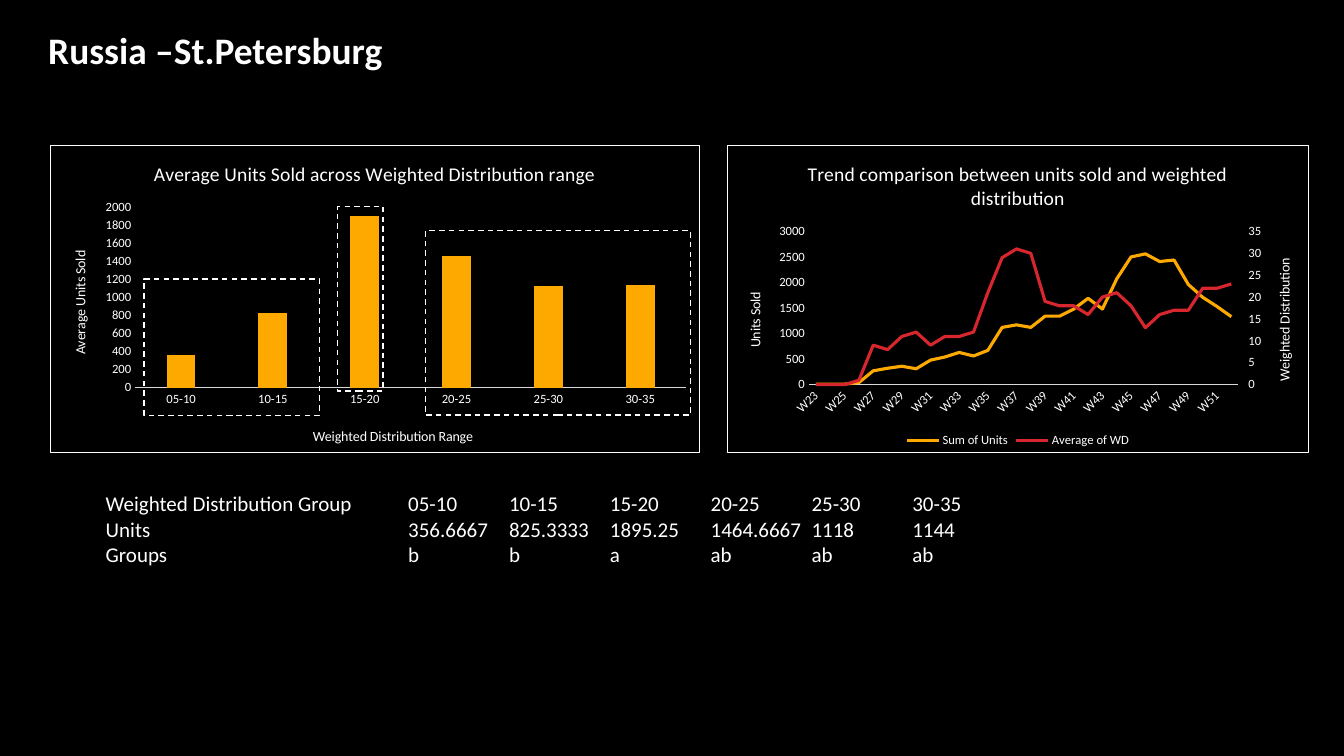
from copy import deepcopy

from lxml import etree
from pptx import Presentation
from pptx.chart.axis import CategoryAxis, ValueAxis
from pptx.chart.data import CategoryChartData
from pptx.dml.color import RGBColor
from pptx.enum.chart import XL_CHART_TYPE, XL_LEGEND_POSITION, XL_TICK_MARK
from pptx.enum.dml import MSO_LINE
from pptx.enum.shapes import MSO_SHAPE
from pptx.enum.text import MSO_AUTO_SIZE
from pptx.oxml import parse_xml
from pptx.oxml.ns import nsdecls, qn
from pptx.util import Inches, Pt

COLUMN, LINE = XL_CHART_TYPE.COLUMN_CLUSTERED, XL_CHART_TYPE.LINE
TICK_NONE, TICK_OUTSIDE = XL_TICK_MARK.NONE, XL_TICK_MARK.OUTSIDE
BOTTOM = XL_LEGEND_POSITION.BOTTOM
RECTANGLE, DASH = MSO_SHAPE.RECTANGLE, MSO_LINE.DASH
FIT_SHAPE = MSO_AUTO_SIZE.SHAPE_TO_FIT_TEXT

THEME = {
    "font": "Calibri",
    "black": RGBColor(0x00, 0x00, 0x00),
    "white": RGBColor(0xFF, 0xFF, 0xFF),
    "axis": RGBColor(0xD9, 0xD9, 0xD9),
    "units": RGBColor(0xFE, 0xA9, 0x00),
    "distribution": RGBColor(0xD8, 0x26, 0x2E),
    "heading": 26.7,
    "body": 15,
    "chart_title": 14,
    "axis_title": 10,
    "label": 9,
}

presentation = Presentation()
presentation.slide_width = Inches(13.33)
presentation.slide_height = Inches(7.5)
slide = presentation.slides.add_slide(presentation.slide_layouts[6])
slide.background.fill.solid()
slide.background.fill.fore_color.rgb = THEME["black"]


def place(left, top, width, height):
    across, down = presentation.slide_width / 100, presentation.slide_height / 100
    return [round(share * unit) for share, unit in
            zip((left, top, width, height), (across, down, across, down))]


def style_font(font, size, bold=False):
    font.name = THEME["font"]
    font.size = Pt(THEME[size])
    font.bold = bold
    font.color.rgb = THEME["white"]


ranges = ["05-10", "10-15", "15-20", "20-25", "25-30", "30-35"]
range_data = CategoryChartData()
range_data.categories = ranges
range_data.add_series("Series 1", [360, 830, 1900, 1460, 1120, 1140])

trend_data = CategoryChartData()
trend_data.categories = [f"W{week}" for week in range(23, 53)]
trend_data.add_series("Sum of Units", [
    10, 10, 10, 40, 270, 320, 360, 310, 480, 540, 630, 560, 670, 1120, 1170,
    1120, 1340, 1340, 1480, 1690, 1480, 2070, 2500, 2560, 2410, 2440, 1960,
    1710, 1530, 1330])
trend_data.add_series("Average of WD", [
    0, 0, 0, 1, 9, 8, 11, 12, 9, 11, 11, 12, 21, 29, 31, 30, 19, 18, 18, 16,
    20, 21, 18, 13, 16, 17, 17, 22, 22, 23])

range_chart = slide.shapes.add_chart(
    COLUMN, *place(3.75, 19.2, 48.31, 40.67), range_data).chart
trend_chart = slide.shapes.add_chart(
    LINE, *place(54.09, 19.2, 43.29, 40.67), trend_data).chart

plot_area = trend_chart._chartSpace.chart.plotArea
units_lines = plot_area.find(qn("c:lineChart"))
units_axis = plot_area.find(qn("c:valAx"))
distribution_lines = deepcopy(units_lines)
units_lines.remove(units_lines.findall(qn("c:ser"))[1])
distribution_lines.remove(distribution_lines.findall(qn("c:ser"))[0])
units_lines.addnext(distribution_lines)
week_axis = deepcopy(plot_area.find(qn("c:catAx")))
distribution_axis = deepcopy(units_axis)
units_axis.addnext(distribution_axis)
distribution_axis.addnext(week_axis)
for element, tags, numbers in (
        (distribution_lines, ("c:axId", "c:axId"), ("5001", "5002")),
        (week_axis, ("c:axId", "c:crossAx"), ("5001", "5002")),
        (distribution_axis, ("c:axId", "c:crossAx"), ("5002", "5001"))):
    targets = [child for child in element if child.tag in map(qn, tags)]
    for target, number in zip(targets, numbers):
        target.set("val", number)
distribution_axis.find(qn("c:axPos")).set("val", "r")
distribution_axis.find(qn("c:crosses")).set("val", "max")
CategoryAxis(week_axis).visible = False
left_axis, right_axis = ValueAxis(units_axis), ValueAxis(distribution_axis)

charts = (
    (range_chart, "Average Units Sold across Weighted Distribution range"),
    (trend_chart, "Trend comparison between units sold and weighted distribution"),
)
for chart, title in charts:
    style_font(chart.font, "axis_title")
    chart.has_title = True
    run = chart.chart_title.text_frame.paragraphs[0].add_run()
    run.text = title
    style_font(run.font, "chart_title")
    chart.chart_title.include_in_layout = False
    chart._chartSpace.chart.addnext(parse_xml(
        f'<c:spPr {nsdecls("c", "a")}><a:noFill/><a:ln w="{Pt(0.75)}"><a:solidFill>'
        f'<a:srgbClr val="{THEME["white"]}"/></a:solidFill></a:ln></c:spPr>'))
    chart.category_axis.format.line.color.rgb = THEME["axis"]
    chart.category_axis.format.line.width = Pt(0.75)

axes = (
    (range_chart.category_axis, "Weighted Distribution Range", None, None),
    (range_chart.value_axis, "Average Units Sold", 2000, 200),
    (trend_chart.category_axis, None, None, None),
    (left_axis, "Units Sold", 3000, 500),
    (right_axis, "Weighted Distribution", 35, 5),
)
for axis, title, maximum, step in axes:
    axis.has_major_gridlines = False
    axis.major_tick_mark = axis.minor_tick_mark = TICK_NONE
    style_font(axis.tick_labels.font, "label")
    if title:
        run = axis.axis_title.text_frame.paragraphs[0].add_run()
        run.text = title
        style_font(run.font, "axis_title")
    if maximum:
        axis.minimum_scale, axis.maximum_scale, axis.major_unit = 0, maximum, step
        axis.format.line.fill.background()
        axis.axis_title.text_frame._txBody.bodyPr.set("rot", "-5400000")
right_axis.major_tick_mark = TICK_OUTSIDE
trend_chart.category_axis._element.find(qn("c:txPr")).bodyPr.set("rot", "-2700000")

inner, edges = [("layoutTarget", "inner")], [("xMode", "edge"), ("yMode", "edge")]
layouts = (
    (range_chart._chartSpace.chart.plotArea, 0, inner, (0.13, 0.2, 0.85, 0.59)),
    (plot_area, 0, inner, (0.14, 0.28, 0.74, 0.5)),
    (range_chart.category_axis.axis_title._element, 1, [], (0.4, 0.91)),
)
for parent, position, target, frame in layouts:
    for old_layout in parent.findall(qn("c:layout")):
        parent.remove(old_layout)
    layout = parse_xml(f'<c:layout {nsdecls("c")}><c:manualLayout/></c:layout>')
    for name, value in target + edges + list(zip("xywh", frame)):
        etree.SubElement(layout[0], qn(f"c:{name}")).set("val", str(value))
    parent.insert(position, layout)

bars = range_chart.plots[0]
bars.gap_width, bars.overlap, bars.vary_by_categories = 219, -27, False
bars.series[0].format.fill.solid()
bars.series[0].format.fill.fore_color.rgb = THEME["units"]
range_chart.has_legend = False

for plot, color in zip(trend_chart.plots, ("units", "distribution")):
    plot.vary_by_categories = False
    series = plot.series[0]
    series.smooth = False
    series.format.line.color.rgb = THEME[color]
    series.format.line.width = Pt(2.25)
trend_chart.has_legend = True
trend_chart.legend.position = BOTTOM
trend_chart.legend.include_in_layout = False
style_font(trend_chart.legend.font, "label")

group_frames = (
    (31.66, 30.53, 19.73, 24.4),
    (25.13, 27.33, 3.38, 24.4),
    (10.73, 36.93, 13.05, 18),
)
for frame in group_frames:
    shape = slide.shapes.add_shape(RECTANGLE, *place(*frame))
    shape.shadow.inherit = False
    shape.fill.background()
    shape.line.color.rgb = THEME["white"]
    shape.line.width = Pt(1)
    shape.line.dash_style = DASH

rows = (
    ["Weighted Distribution Group"] + ranges,
    ["Units", "356.6667", "825.3333", "1895.25", "1464.6667", "1118", "1144"],
    ["Groups", "b", "b", "a", "ab", "ab", "ab"],
)
text_boxes = (
    ((2.85, 4.13, 81.32, 6.27), ["Russia –St.Petersburg"], "heading", True, 0.8),
    ((7.13, 64.27, 68.57, 11.47), ["\t".join(row) for row in rows], "body", False, 1),
)
for frame, lines, size, bold, spacing in text_boxes:
    text_frame = slide.shapes.add_textbox(*place(*frame)).text_frame
    text_frame.word_wrap = True
    text_frame.auto_size = FIT_SHAPE
    for index, line in enumerate(lines):
        paragraph = text_frame.add_paragraph() if index else text_frame.paragraphs[0]
        paragraph.line_spacing = spacing
        if "\t" in line:
            stops = etree.SubElement(paragraph._p.get_or_add_pPr(), qn("a:tabLst"))
            for column in range(len(ranges)):
                stop = etree.SubElement(stops, qn("a:tab"))
                stop.set("pos", str(Inches(3 + column)))
                stop.set("algn", "l")
        run = paragraph.add_run()
        run.text = line
        style_font(run.font, size, bold)

presentation.save("out.pptx")
